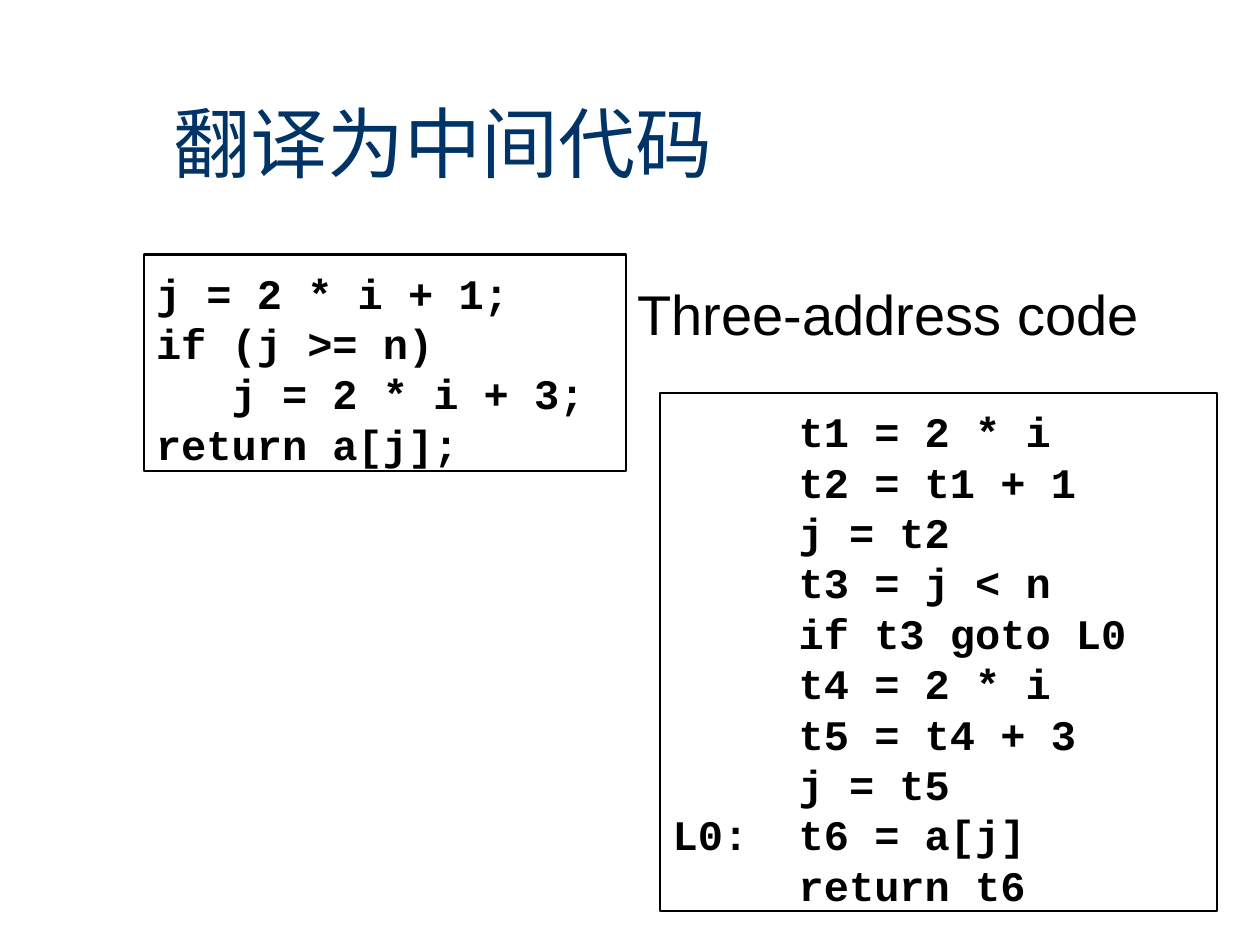
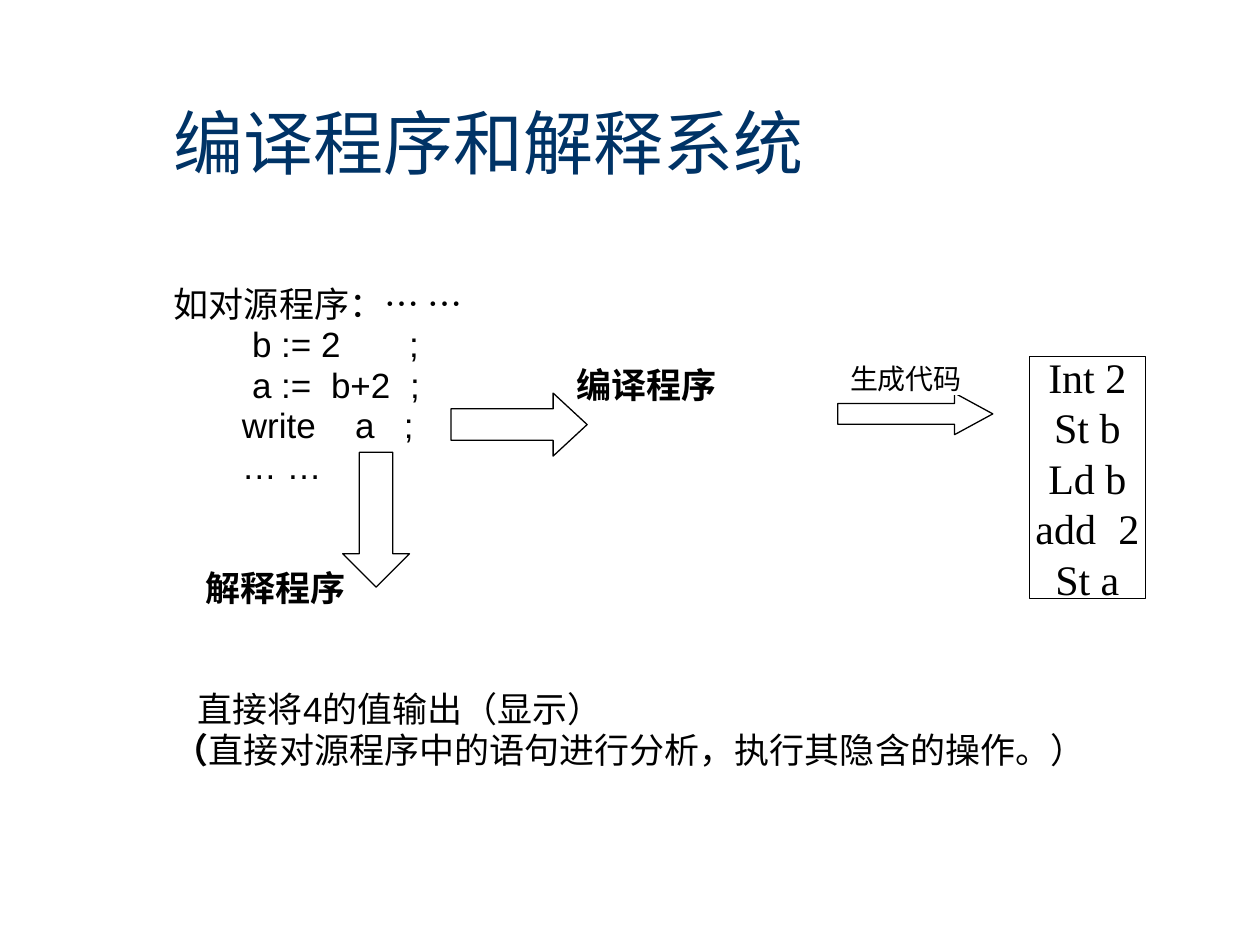
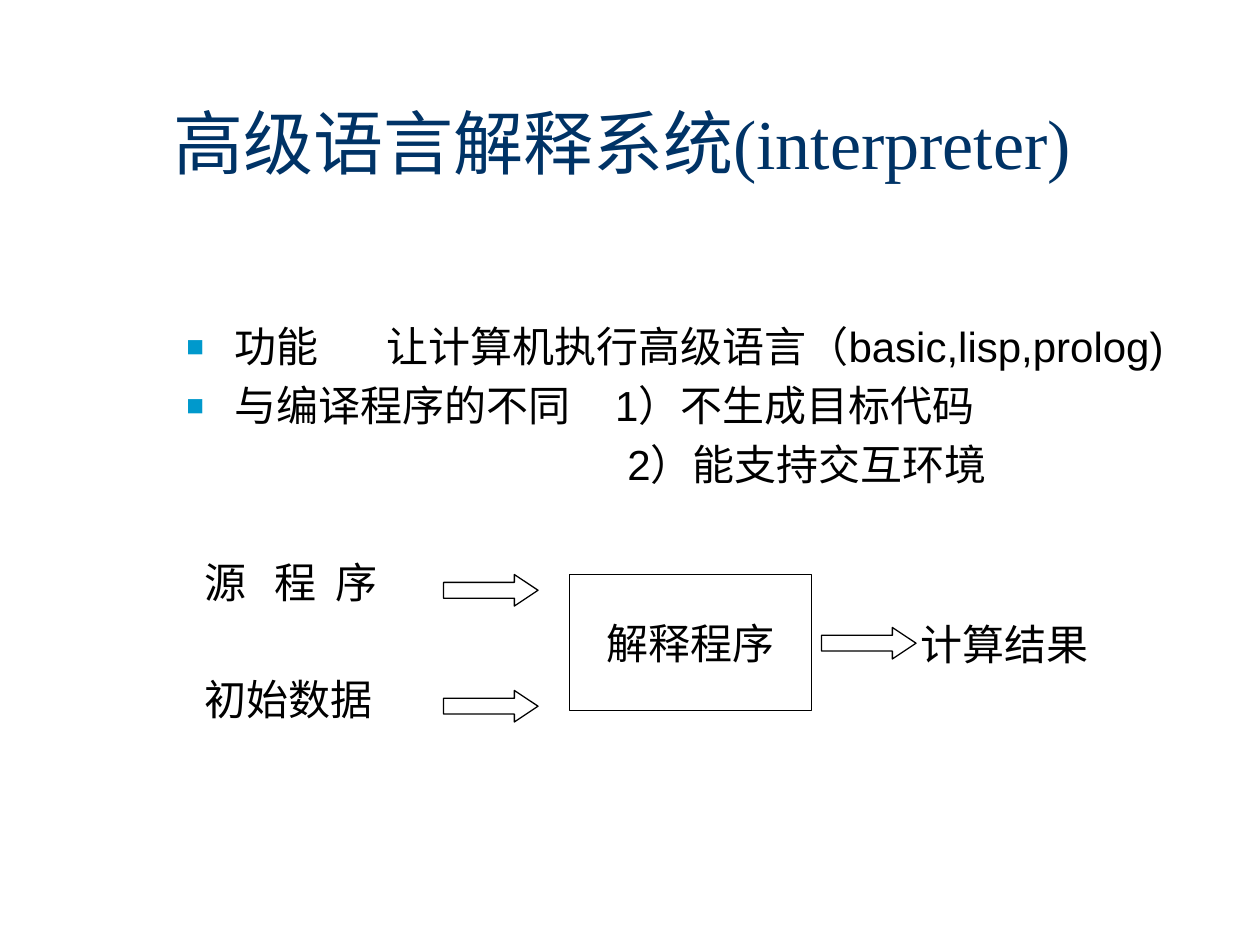
"""Build three slides on intermediate code, compilers and interpreters."""
from dataclasses import dataclass

from lxml.etree import SubElement
from pptx import Presentation
from pptx.dml.color import RGBColor as RGB
from pptx.enum.shapes import MSO_SHAPE as SHAPE
from pptx.enum.text import MSO_ANCHOR as ANCHOR, MSO_AUTO_SIZE as FIT, PP_ALIGN as ALIGN
from pptx.oxml.ns import qn
from pptx.util import Inches, Pt


class Bold(str):
    """Text shown in bold."""


@dataclass(frozen=True)
class Theme:
    """Colours, fonts and type sizes shared by the slides."""
    navy: RGB = RGB(0x00, 0x33, 0x66)
    ink: RGB = RGB(0, 0, 0)
    paper: RGB = RGB(255, 255, 255)
    bullet: str = "0099CC"
    serif: str = "Times New Roman"
    sans: str = "Arial"
    mono: str = "Courier New"
    code_size: int = 24
    leading: float = 1.2
    space_width: float = 0.28
    hanging: float = 0.38


@dataclass(frozen=True)
class Line:
    """A body line; numbers among its pieces are gaps counted in spaces."""
    pieces: tuple
    indent: float = 0
    skipped: int = 0
    bulleted: bool = False


THEME = Theme()
TITLE_BOX = (1.28, 0.5, 8.5, 1.25)

TRANSLATION = {
    "title": ("翻译为中间代码", 44),
    "body": {
        "box": (1.28, 2.17, 8.5, 4.5), "top": 0.05, "size": 32, "pitch": 38.4,
        "lines": [Line(("Three-address code",), 3.68)],
    },
    "listings": [
        ((1.14, 2.02, 3.83, 1.72), [
            "j = 2 * i + 1;",
            "if (j >= n)",
            "   j = 2 * i + 3;",
            "return a[j];",
        ]),
        ((5.24, 3.12, 4.42, 4.11), [
            "\tt1 = 2 * i",
            "\tt2 = t1 + 1",
            "\tj = t2",
            "\tt3 = j < n",
            "\tif t3 goto L0",
            "\tt4 = 2 * i",
            "\tt5 = t4 + 3",
            "\tj = t5",
            "L0:\tt6 = a[j]",
            "\treturn t6",
        ]),
    ],
}

COMPARISON = {
    "title": ("编译程序和解释系统", 40),
    "body": {
        "box": (1.28, 1.86, 8.5, 5.12), "top": 0.39, "size": 20, "pitch": 23.2,
        "lines": [
            Line(("如对源程序：… …",)),
            Line(("b := 2", 7, ";"), 0.62),
            Line(("a :=", 2, "b+2", 2, ";", 16, Bold("编译程序")), 0.62),
            Line(("write", 4, "a", 3, ";"), 0.54),
            Line(("… …",), 0.54),
            Line((Bold("解释程序"),), 0.25, skipped=2),
            Line(("直接将4的值输出（显示）",), 0.19, skipped=2),
            Line((Bold("（"), "直接对源程序中的语句进行分析，执行其隐含的操作。）")),
        ],
    },
    "arrows": [
        (SHAPE.RIGHT_ARROW, (3.58, 3.12, 1.08, 0.5), 0.54),
        (SHAPE.RIGHT_ARROW, (6.65, 3.12, 1.23, 0.33), 0.92),
        (SHAPE.DOWN_ARROW, (2.72, 3.59, 0.53, 1.07), 0.5),
    ],
    "labels": [
        ((8.17, 2.83, 0.92, 1.92), THEME.ink, 24,
         [("Int 2",), ("St b",), ("Ld b",), ("add", 2, "2"), ("St a",)]),
        ((6.73, 2.88, 0.92, 0.25), THEME.paper, 16, [("生成代码",)]),
    ],
}

FLOW_ARROW = (0.75, 0.25)
INTERPRETER = {
    "title": ("高级语言解释系统(interpreter)", 40),
    "body": {
        "box": (1.38, 2.48, 8.5, 4.5), "top": 0, "size": 24, "pitch": 33.6,
        "lines": [
            Line(("功能", 6, "让计算机执行高级语言（basic,lisp,prolog)"), bulleted=True),
            Line(("与编译程序的不同", 4, "1）不生成目标代码"), bulleted=True),
            Line(("2）能支持交互环境",), 3.5),
            Line(("源", 2.6, "程", 1.8, "序"), 0.14, skipped=1),
            Line(("初始数据",), 0.14, skipped=1),
        ],
    },
    "labels": [
        ((4.52, 4.56, 1.92, 1.08), THEME.ink, 24, [("解释程序",)]),
        ((7.35, 4.9, 1.25, 0.42), THEME.paper, 24, [("计算结果",)]),
    ],
    "arrows": [
        (SHAPE.RIGHT_ARROW, corner + FLOW_ARROW, 0.75)
        for corner in ((3.52, 4.56), (3.52, 5.48), (6.52, 4.98))
    ],
}


def place(part, box):
    part.left, part.top, part.width, part.height = map(Inches, box)


def write(paragraph, pieces, face, size, colour=THEME.ink, bold=False):
    for piece in pieces:
        run = paragraph.add_run()
        font = run.font
        font.name, font.size, font.color.rgb = face, Pt(size), colour
        font.bold = bold or isinstance(piece, Bold)
        if isinstance(piece, str):
            run.text = piece
        else:
            run.text = " "
            stretch = (piece - 1) * THEME.space_width * size
            run._r.get_or_add_rPr().set("spc", str(round(stretch * 100)))


def indent(paragraph, line):
    props = paragraph._p.get_or_add_pPr()
    left = THEME.hanging if line.bulleted else line.indent
    props.set("marL", str(Inches(left)))
    props.set("indent", str(-Inches(left) if line.bulleted else 0))
    if not line.bulleted:
        SubElement(props, qn("a:buNone"))
        return
    SubElement(SubElement(props, qn("a:buClr")), qn("a:srgbClr")).set("val", THEME.bullet)
    SubElement(props, qn("a:buSzPct")).set("val", "70000")
    SubElement(props, qn("a:buFont")).set("typeface", THEME.sans)
    SubElement(props, qn("a:buChar")).set("char", "■")


def add_title(slide, wording, size):
    title = slide.shapes.title
    place(title, TITLE_BOX)
    frame = title.text_frame
    frame.auto_size, frame.vertical_anchor = FIT.NONE, ANCHOR.MIDDLE
    paragraph = frame.paragraphs[0]
    paragraph.alignment = ALIGN.LEFT
    write(paragraph, [wording], THEME.serif, size, THEME.navy)


def add_body(slide, box, top, size, pitch, lines):
    body = slide.placeholders[1]
    place(body, box)
    frame = body.text_frame
    frame.auto_size, frame.margin_top = FIT.NONE, Inches(top)
    for number, line in enumerate(lines):
        paragraph = frame.add_paragraph() if number else frame.paragraphs[0]
        indent(paragraph, line)
        paragraph.line_spacing = Pt(pitch)
        paragraph.space_before = Pt(line.skipped * pitch)
        write(paragraph, line.pieces, THEME.sans, size)


def add_outline(slide, kind, box, colour=THEME.ink, weight=0.75, filled=True):
    outline = slide.shapes.add_shape(kind, *map(Inches, box))
    outline.shadow.inherit = False
    if filled:
        outline.fill.solid()
        outline.fill.fore_color.rgb = THEME.paper
    else:
        outline.fill.background()
    outline.line.color.rgb, outline.line.width = colour, Pt(weight)
    return outline


def add_listing(slide, box, code):
    frame = add_outline(slide, SHAPE.RECTANGLE, box, weight=1.25, filled=False).text_frame
    frame.word_wrap, frame.vertical_anchor = True, ANCHOR.TOP
    frame.margin_top = Inches(0.1)
    paragraph = frame.paragraphs[0]
    tabs = SubElement(paragraph._p.get_or_add_pPr(), qn("a:tabLst"))
    tab = SubElement(tabs, qn("a:tab"))
    tab.set("pos", str(Inches(1)))
    tab.set("algn", "l")
    paragraph.alignment = ALIGN.LEFT
    paragraph.line_spacing = Pt(THEME.code_size * THEME.leading)
    for number, statement in enumerate(code):
        if number:
            paragraph.add_line_break()
        write(paragraph, [statement], THEME.mono, THEME.code_size, bold=True)


def add_label(slide, box, border, size, rows):
    frame = add_outline(slide, SHAPE.RECTANGLE, box, border).text_frame
    frame.word_wrap, frame.vertical_anchor = False, ANCHOR.MIDDLE
    for number, pieces in enumerate(rows):
        paragraph = frame.add_paragraph() if number else frame.paragraphs[0]
        paragraph.alignment = ALIGN.CENTER
        if len(rows) > 1:
            paragraph.line_spacing = Pt(size * THEME.leading)
        write(paragraph, pieces, THEME.serif, size)


def add_arrow(slide, kind, box, head):
    arrow = add_outline(slide, kind, box)
    arrow.adjustments[0], arrow.adjustments[1] = 0.5, head


def main():
    deck = Presentation()
    deck.slide_width, deck.slide_height = Inches(10), Inches(7.5)
    for content in (TRANSLATION, COMPARISON, INTERPRETER):
        slide = deck.slides.add_slide(deck.slide_layouts[1])
        add_title(slide, *content["title"])
        add_body(slide, **content["body"])
        for listing in content.get("listings", []):
            add_listing(slide, *listing)
        for arrow in content.get("arrows", []):
            add_arrow(slide, *arrow)
        for label in content.get("labels", []):
            add_label(slide, *label)
    deck.save("out.pptx")


if __name__ == "__main__":
    main()
